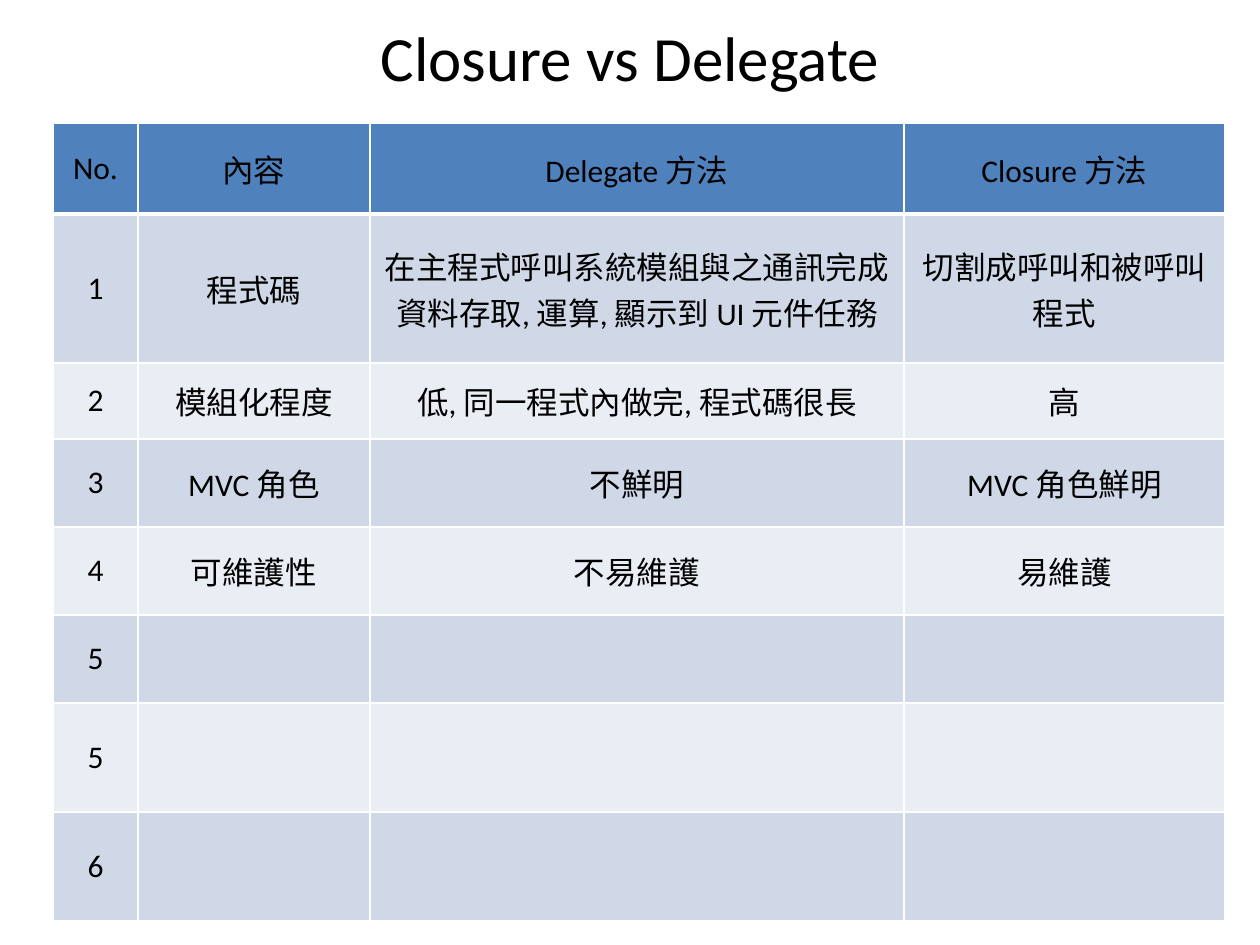
"""Build a slide with a table comparing closures and delegates."""
from lxml import etree
from pptx import Presentation
from pptx import util as u
from pptx.dml.color import RGBColor
from pptx.enum import text
from pptx.oxml.ns import qn

SCALE = 914400 / 126
BLACK = RGBColor(0x00, 0x00, 0x00)
HEADER = RGBColor(0x4F, 0x81, 0xBD)
BANDS = [RGBColor(0xE9, 0xED, 0xF4), RGBColor(0xD0, 0xD8, 0xE8)]
WHITE = RGBColor(0xFF, 0xFF, 0xFF)


def px(length):
    return u.Emu(round(length * SCALE))


def write(frame, content, size=18, color=BLACK, font="Calibri"):
    frame.word_wrap = True
    paragraph = frame.paragraphs[0]
    paragraph.alignment = text.PP_ALIGN.CENTER
    paragraph.font.size = u.Pt(size)
    if content:
        run = paragraph.add_run()
        run.text = content
        run.font.size = u.Pt(size)
        run.font.name = font
        run.font.color.rgb = color


presentation = Presentation()
presentation.slide_width = px(1260)
presentation.slide_height = px(945)
slide = presentation.slides.add_slide(presentation.slide_layouts[6])

title = slide.shapes.add_textbox(px(0), px(-1), px(1260), px(115))
title.text_frame.vertical_anchor = text.MSO_ANCHOR.MIDDLE
write(title.text_frame, "Closure vs Delegate", size=36)

rows = [
    ["No.", "內容", "Delegate 方法", "Closure 方法"],
    ["1", "程式碼", "在主程式呼叫系統模組與之通訊完成資料存取, 運算, 顯示到 UI 元件任務",
     "切割成呼叫和被呼叫程式"],
    ["2", "模組化程度", "低, 同一程式內做完, 程式碼很長", "高"],
    ["3", "MVC 角色", "不鮮明", "MVC 角色鮮明"],
    ["4", "可維護性", "不易維護", "易維護"],
    ["5", "", "", ""],
    ["5", "", "", ""],
    ["6", "", "", ""],
]
widths = [85, 232, 534, 321]
heights = [91, 149, 76, 88, 88, 88, 109, 109]

table = slide.shapes.add_table(
    len(rows), len(widths), px(53), px(123), px(sum(widths)), px(sum(heights))
).table
for column, width in zip(table.columns, widths):
    column.width = px(width)
for row, height in zip(table.rows, heights):
    row.height = px(height)

for row_index, row in enumerate(rows):
    for column_index, content in enumerate(row):
        cell = table.cell(row_index, column_index)
        cell.vertical_anchor = text.MSO_ANCHOR.MIDDLE
        cell.fill.solid()
        cell.fill.fore_color.rgb = BANDS[row_index % 2] if row_index else HEADER
        write(cell.text_frame, content)
        properties = cell._tc.get_or_add_tcPr()
        for position, side in enumerate(["lnL", "lnR", "lnT", "lnB"]):
            under_header = (row_index, side) in [(0, "lnB"), (1, "lnT")]
            border = etree.Element(qn(f"a:{side}"), w=str(u.Pt(3 if under_header else 1)))
            fill = etree.SubElement(border, qn("a:solidFill"))
            etree.SubElement(fill, qn("a:srgbClr"), val=str(WHITE))
            properties.insert(position, border)

presentation.save("out.pptx")
